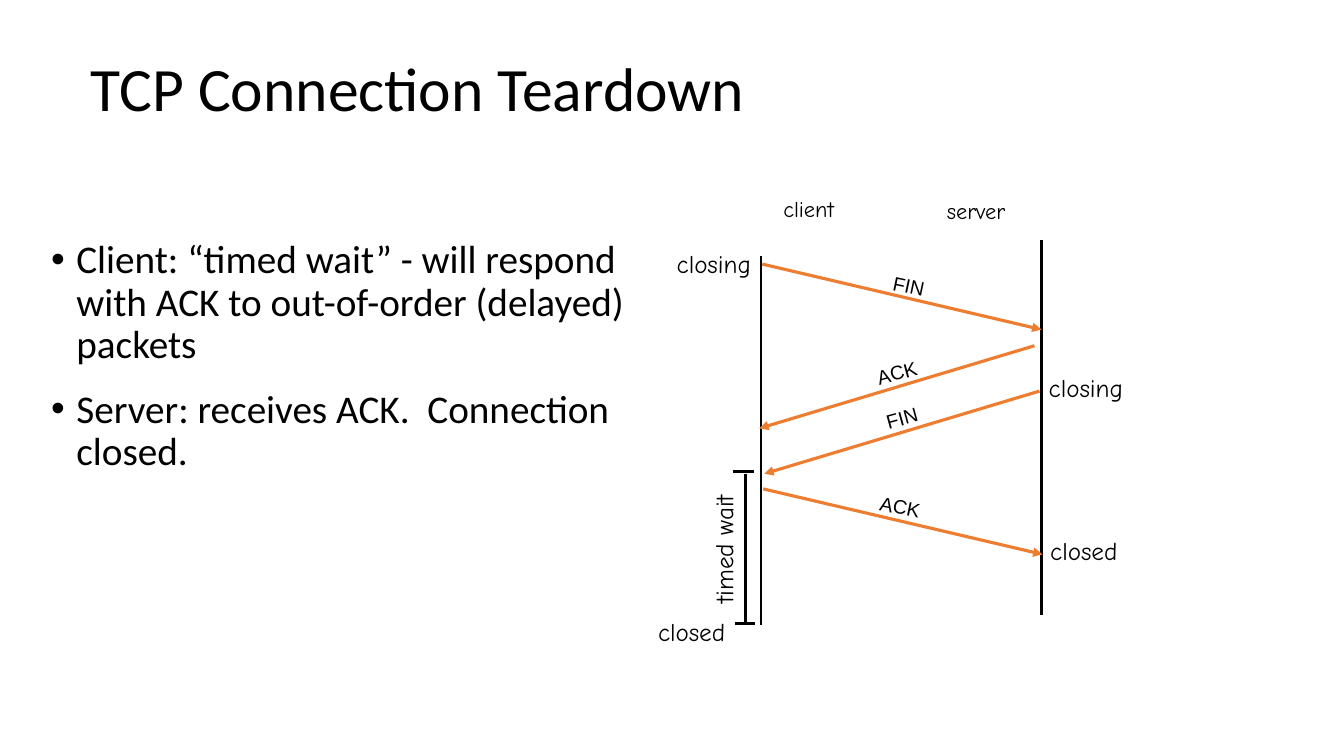
from dataclasses import dataclass

import lxml.etree
import pptx
import pptx.dml.color
import pptx.enum.shapes
import pptx.enum.text
import pptx.oxml.ns
import pptx.util

Inches = pptx.util.Inches
Pt = pptx.util.Pt
qn = pptx.oxml.ns.qn
ALIGN = pptx.enum.text.PP_ALIGN
ANCHOR = pptx.enum.text.MSO_ANCHOR


@dataclass(frozen=True)
class Theme:
    ink: str = "000000"
    message: str = "ED7D31"
    body_font: str = "Calibri"
    state_font: str = "Comic Neue"
    message_font: str = "Arial"
    title_size: int = 44
    body_size: int = 28
    state_size: int = 18
    host_size: int = 16
    message_size: int = 14
    thick: float = 2.25
    thin: float = 1.5


class Sequence:
    """Slide with a title, bullets and a message sequence diagram."""

    def __init__(self, presentation, theme):
        self.theme = theme
        self.slide = presentation.slides.add_slide(presentation.slide_layouts[5])

    def style(self, paragraph, font, size):
        paragraph.font.name = font
        paragraph.font.size = Pt(size)
        paragraph.font.color.rgb = pptx.dml.color.RGBColor.from_string(self.theme.ink)

    def title(self, wording, left, top, width, height):
        heading = self.slide.shapes.title
        heading.left, heading.top = Inches(left), Inches(top)
        heading.width, heading.height = Inches(width), Inches(height)
        frame = heading.text_frame
        frame.text = wording
        frame.word_wrap = True
        frame.vertical_anchor = ANCHOR.MIDDLE
        paragraph = frame.paragraphs[0]
        paragraph.alignment = ALIGN.LEFT
        paragraph.line_spacing = 0.9
        self.style(paragraph, self.theme.body_font, self.theme.title_size)

    def text_box(self, left, top, width, height):
        return self.slide.shapes.add_textbox(
            Inches(left), Inches(top), Inches(width), Inches(height))

    def bullets(self, points, left, top, width, height):
        frame = self.text_box(left, top, width, height).text_frame
        frame.word_wrap = True
        frame.text = "\n".join(points)
        for index, paragraph in enumerate(frame.paragraphs):
            properties = paragraph._p.get_or_add_pPr()
            properties.set("marL", str(Inches(0.25)))
            properties.set("indent", str(-Inches(0.25)))
            lxml.etree.SubElement(properties, qn("a:buFont")).set("typeface", "Arial")
            lxml.etree.SubElement(properties, qn("a:buChar")).set("char", "•")
            paragraph.line_spacing = 0.9
            paragraph.space_before = Pt(16 if index else 0)
            self.style(paragraph, self.theme.body_font, self.theme.body_size)

    def label(self, wording, left, top, width, height, font, size, rotation=0):
        box = self.text_box(left, top, width, height)
        box.rotation = rotation
        frame = box.text_frame
        frame.word_wrap = False
        frame.text = wording
        frame.paragraphs[0].alignment = ALIGN.CENTER
        self.style(frame.paragraphs[0], font, size)

    def host(self, wording, left, top, width):
        self.label(wording, left, top, width, 0.37,
                   self.theme.state_font, self.theme.host_size)

    def state(self, wording, left, top, width, rotation=0):
        self.label(wording, left, top, width, 0.4,
                   self.theme.state_font, self.theme.state_size, rotation)

    def line(self, start, end, color, weight):
        connector = self.slide.shapes.add_connector(
            pptx.enum.shapes.MSO_CONNECTOR.STRAIGHT,
            *(Inches(value) for value in (*start, *end)))
        connector.line.color.rgb = pptx.dml.color.RGBColor.from_string(color)
        connector.line.width = Pt(weight)
        lxml.etree.SubElement(connector._element.spPr, qn("a:effectLst"))
        return connector

    def message(self, wording, start, end, label_at, label_width, rotation):
        """Arrow from one host to the other, with its label along it."""
        arrow = self.line(start, end, self.theme.message, self.theme.thick)
        lxml.etree.SubElement(
            arrow.line._get_or_add_ln(), qn("a:tailEnd")).set("type", "triangle")
        self.label(wording, *label_at, label_width, 0.33,
                   self.theme.message_font, self.theme.message_size, rotation)


def main():
    presentation = pptx.Presentation()
    presentation.slide_width = Inches(13.33)
    presentation.slide_height = Inches(7.5)
    theme = Theme()
    teardown = Sequence(presentation, theme)

    teardown.title("TCP Connection Teardown", 0.8, 0.42, 8.5, 0.98)
    teardown.bullets([
        "Client: “timed wait” - will respond with ACK to out-of-order (delayed) packets",
        "Server: receives ACK.  Connection closed.",
    ], 0.41, 2.33, 5.97, 4.15)

    teardown.host("client", 7.63, 1.89, 0.78)
    teardown.host("server", 9.24, 1.91, 0.88)
    for x, top, bottom in ((7.55, 2.54, 6.2), (10.33, 2.38, 6.1)):
        teardown.line((x, top), (x, bottom), theme.ink, theme.thin)

    to_server, to_client = 11.8, 344.6
    for wording, start, end, label_at, label_width, rotation in (
        ("FIN", (7.56, 2.62), (10.33, 3.27), (8.71, 2.67), 0.61, to_server),
        ("ACK", (10.26, 3.43), (7.53, 4.25), (7.4, 3.53), 2.99, to_client),
        ("FIN", (10.31, 3.88), (7.58, 4.7), (7.45, 3.98), 2.99, to_client),
        ("ACK", (7.57, 4.85), (10.34, 5.5), (8.58, 4.86), 0.7, to_server),
    ):
        teardown.message(wording, start, end, label_at, label_width, rotation)

    for wording, left, top, width in (
        ("closing", 6.59, 2.41, 0.98),
        ("closing", 10.28, 3.64, 0.98),
        ("closed", 6.39, 6.07, 0.94),
        ("closed", 10.28, 5.26, 0.94),
    ):
        teardown.state(wording, left, top, width)

    teardown.state("timed wait", 6.46, 5.25, 1.43, rotation=270)
    for start, end in (
        ((7.39, 4.7), (7.39, 6.17)),
        ((7.27, 4.68), (7.48, 4.68)),
        ((7.29, 6.19), (7.49, 6.19)),
    ):
        teardown.line(start, end, theme.ink, theme.thick)

    presentation.save("out.pptx")


if __name__ == "__main__":
    main()
